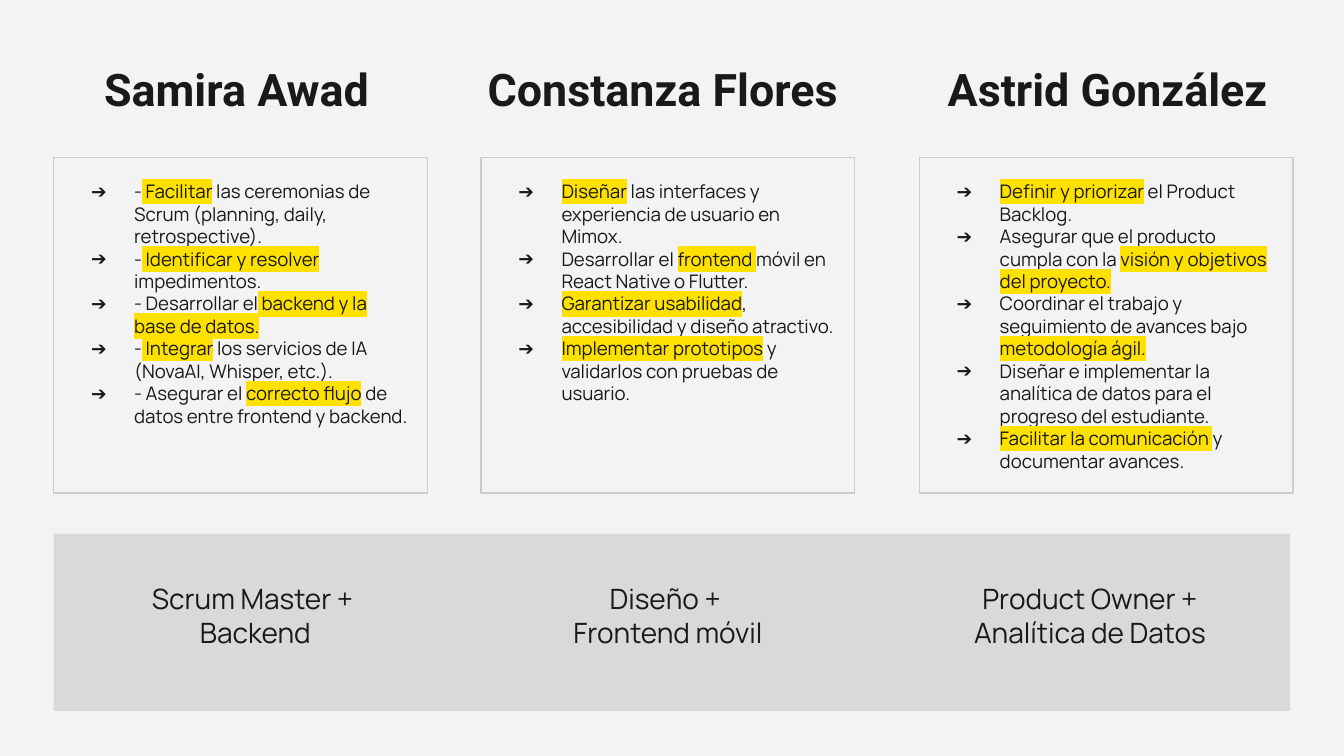
from lxml.etree import SubElement
from pptx import Presentation
from pptx.dml.color import RGBColor
from pptx.enum.shapes import MSO_SHAPE as Shape
from pptx.enum.text import MSO_AUTO_SIZE as AutoSize, PP_ALIGN as Align
from pptx.oxml import parse_xml
from pptx.oxml.ns import qn
from pptx.util import Inches, Pt

COLORS = {
    "page": "F3F3F3",
    "band": "D9D9D9",
    "border": "CCCCCC",
    "ink": "191919",
    "marker": "FFE100",
}
NAME_FORMAT = {"name": "Roboto", "size": Pt(24), "bold": True}
TASK_FORMAT = {"name": "Manrope", "size": Pt(10)}
ROLE_FORMAT = {"name": "Manrope", "size": Pt(15)}
DRAWING_NS = "http://schemas.openxmlformats.org/drawingml/2006/main"

MEMBERS = [
    {
        "name": "Samira Awad",
        "name_box": (0.12, 0.36, 3.28, 0.61),
        "card_box": (0.4, 1.17, 2.78, 2.5),
        "task_size": (2.76, 2.22),
        "tasks": [
            "-* Facilitar* las ceremonias de Scrum (planning, daily, retrospective).",
            "-* Identificar y resolver* impedimentos.",
            "- Desarrollar el* backend y la base de datos.*",
            "-* Integrar* los servicios de IA (NovaAI, Whisper, etc.).",
            "- Asegurar el *correcto flujo* de datos entre frontend y backend.",
        ],
        "role_box": (0.5, 4.23, 2.76, 0.71),
        "role": ["Scrum Master +", " Backend"],
    },
    {
        "name": "Constanza Flores",
        "name_box": (3.29, 0.36, 3.28, 0.61),
        "card_box": (3.58, 1.17, 2.78, 2.5),
        "task_size": (2.76, 2.05),
        "tasks": [
            "*Diseñar* las interfaces y experiencia de usuario en Mimox.",
            "Desarrollar el *frontend *móvil en React Native o Flutter.",
            "*Garantizar usabilidad*, accesibilidad y diseño atractivo.",
            "*Implementar prototipos* y validarlos con pruebas de usuario.",
        ],
        "role_box": (3.46, 4.23, 3.02, 0.71),
        "role": ["Diseño + ", "Frontend móvil"],
    },
    {
        "name": "Astrid González",
        "name_box": (6.6, 0.36, 3.28, 0.61),
        "card_box": (6.84, 1.17, 2.78, 2.5),
        "task_size": (2.78, 2.39),
        "tasks": [
            "*Definir y priorizar* el Product Backlog.",
            "Asegurar que el producto cumpla con la *visión y objetivos del proyecto.*",
            "Coordinar el trabajo y seguimiento de avances bajo *metodología ágil.*",
            "Diseñar e implementar la analítica de datos para el progreso del estudiante.",
            "*Facilitar la comunicación *y documentar avances.",
        ],
        "role_box": (6.47, 4.23, 3.28, 0.96),
        "role": ["Product Owner +", "Analítica de Datos"],
    },
]


def color(key):
    """Return the named colour."""
    return RGBColor.from_string(COLORS[key])


def add_rectangle(page, box, fill=None, line=None):
    """Draw a rectangle with an optional fill and border."""
    rectangle = page.shapes.add_shape(Shape.RECTANGLE, *map(Inches, box))
    rectangle.shadow.inherit = False
    if fill:
        rectangle.fill.solid()
        rectangle.fill.fore_color.rgb = color(fill)
    else:
        rectangle.fill.background()
    if line:
        rectangle.line.color.rgb = color(line)
        rectangle.line.width = Pt(0.75)
    else:
        rectangle.line.fill.background()


def add_bullet(para, font_format):
    """Give a paragraph a hanging arrow bullet."""
    props = para._p.get_or_add_pPr()
    props.set("marL", str(Inches(0.5)))
    props.set("indent", str(Inches(-0.32)))
    tint = SubElement(props, qn("a:buClr"))
    SubElement(tint, qn("a:srgbClr"), val=COLORS["ink"])
    SubElement(props, qn("a:buSzPts"), val=str(font_format["size"].centipoints))
    SubElement(props, qn("a:buFont"), typeface=font_format["name"])
    SubElement(props, qn("a:buChar"), char="➔")


def add_highlight(span):
    """Mark a run with the highlighter colour."""
    fill = span._r.rPr.find(qn("a:solidFill"))
    fill.addnext(parse_xml(
        f'<a:highlight xmlns:a="{DRAWING_NS}">'
        f'<a:srgbClr val="{COLORS["marker"]}"/></a:highlight>'
    ))


def add_text(page, box, lines, font_format, bullets=False):
    """Place paragraphs, highlighting the parts between asterisks."""
    frame = page.shapes.add_textbox(*map(Inches, box)).text_frame
    frame.word_wrap = True
    frame.auto_size = AutoSize.SHAPE_TO_FIT_TEXT
    for side in ("left", "top", "right", "bottom"):
        setattr(frame, f"margin_{side}", Inches(0.1))
    for index, line in enumerate(lines):
        para = frame.add_paragraph() if index else frame.paragraphs[0]
        if bullets:
            add_bullet(para, font_format)
        else:
            para.alignment = Align.CENTER
        for part, words in enumerate(line.split("*")):
            if not words:
                continue
            span = para.add_run()
            span.text = words
            for attribute, value in font_format.items():
                setattr(span.font, attribute, value)
            span.font.color.rgb = color("ink")
            if part % 2:
                add_highlight(span)


def add_card(page, box, tasks, task_size):
    """Draw a bordered card holding a bulleted task list."""
    left, top = box[:2]
    add_rectangle(page, box, line="border")
    add_text(page, (left, top + 0.07, *task_size), tasks, TASK_FORMAT, bullets=True)


def add_member(page, member):
    """Place the name, task card and role of one team member."""
    add_text(page, member["name_box"], [member["name"]], NAME_FORMAT)
    add_card(page, member["card_box"], member["tasks"], member["task_size"])
    add_text(page, member["role_box"], member["role"], ROLE_FORMAT)


def main():
    """Build the team slide and save it."""
    deck = Presentation()
    deck.slide_width = Inches(10)
    deck.slide_height = deck.slide_width * 9 // 16
    page = deck.slides.add_slide(deck.slide_layouts[6])
    page.background.fill.solid()
    page.background.fill.fore_color.rgb = color("page")
    add_rectangle(page, (0.4, 3.97, 9.2, 1.32), fill="band")
    for member in MEMBERS:
        add_member(page, member)
    deck.save("out.pptx")


if __name__ == "__main__":
    main()
